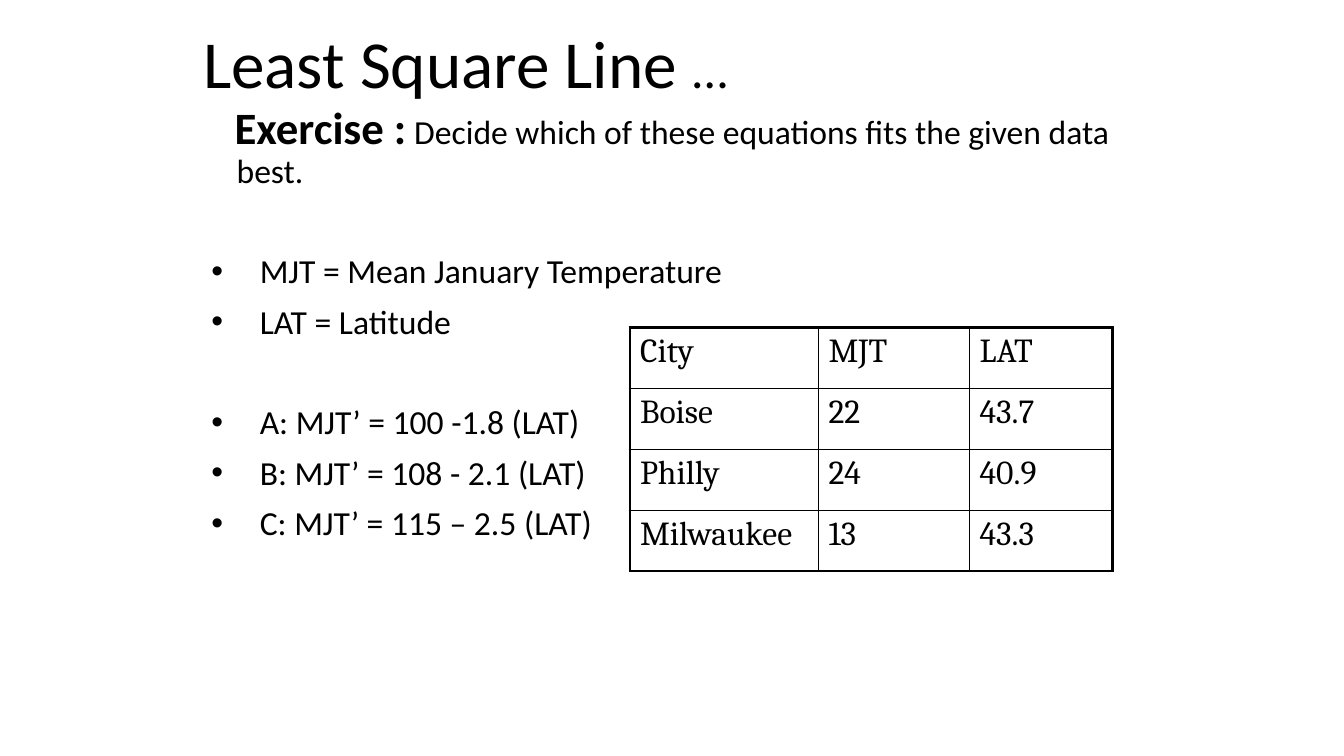
import pptx
import pptx.util
import pptx.dml.color
import pptx.enum.text
import pptx.oxml
import pptx.oxml.ns
import lxml.etree

Pt = pptx.util.Pt
BLACK = pptx.dml.color.RGBColor(0, 0, 0)
WHITE = pptx.dml.color.RGBColor(255, 255, 255)
ANCHOR = pptx.enum.text.MSO_ANCHOR
THICK, THIN = 2.25, 1

ITEMS = [
    ("MJT = Mean January Temperature", 46),
    ("LAT = Latitude", 10),
    ("A: MJT’ = 100 -1.8 (LAT)", 46),
    ("B: MJT’ = 108 - 2.1 (LAT)", 10),
    ("C: MJT’ = 115 – 2.5 (LAT)", 10),
]
DATA = [
    ("City", "MJT", "LAT"),
    ("Boise", "22", "43.7"),
    ("Philly", "24", "40.9"),
    ("Milwaukee", "13", "43.3"),
]
WIDTHS = [134.64, 108, 102.24]


def sub(node, tag, **attrs):
    return lxml.etree.SubElement(node, pptx.oxml.ns.qn(tag), attrs)


def style(para, face, size=None):
    para.font.name = face
    para.font.color.rgb = BLACK
    if size:
        para.font.size = Pt(size)


def add_box(slide, left, top, width, height, anchor):
    box = slide.shapes.add_textbox(Pt(left), Pt(top), Pt(width), Pt(height))
    frame = box.text_frame
    frame.word_wrap = True
    frame.vertical_anchor = anchor
    return frame


def add_runs(para, parts):
    for text, size, bold in parts:
        run = para.add_run()
        run.text = text
        run.font.size = Pt(size)
        run.font.bold = bold


def set_para(para, margin, indent, before):
    para.line_spacing = 0.9
    para.space_before = Pt(before)
    props = para._p.get_or_add_pPr()
    props.set("marL", str(Pt(margin)))
    props.set("indent", str(Pt(indent)))
    return props


def add_title(slide, left, top, width, height):
    para = add_box(slide, left, top, width, height, ANCHOR.MIDDLE).paragraphs[0]
    para.line_spacing = 0.9
    style(para, "Calibri")
    add_runs(para, [("Least Square Line ", 48, False), ("…", 36, False)])


def add_body(slide, left, top, width, height):
    frame = add_box(slide, left, top, width, height, ANCHOR.TOP)
    task = frame.paragraphs[0]
    set_para(task, 18, -1.5, 10)
    style(task, "Calibri")
    add_runs(task, [
        ("Exercise :", 32, True),
        (" Decide which of these equations fits the given data best.", 24, False),
    ])
    for text, before in ITEMS:
        para = frame.add_paragraph()
        para.text = text
        props = set_para(para, 34.5, -34.5, before)
        sub(props, "a:buFont", typeface="Arial")
        sub(props, "a:buChar", char="•")
        style(para, "Calibri", 24)


def set_edges(cell, row, col):
    outer = {
        "L": col == 0,
        "R": col == len(WIDTHS) - 1,
        "T": row == 0,
        "B": row == len(DATA) - 1,
    }
    props = cell._tc.get_or_add_tcPr()
    for side, edge in outer.items():
        line = sub(props, "a:ln" + side, w=str(Pt(THICK if edge else THIN)))
        fill = sub(line, "a:solidFill")
        sub(fill, "a:srgbClr", val=str(BLACK))


def add_data(slide, left, top, height):
    table = slide.shapes.add_table(
        len(DATA), len(WIDTHS), Pt(left), Pt(top), Pt(sum(WIDTHS)), Pt(height)
    ).table
    table.first_row = False
    table.horz_banding = False
    for col, width in enumerate(WIDTHS):
        table.columns[col].width = Pt(width)
    for row, words in enumerate(DATA):
        table.rows[row].height = Pt(height / len(DATA))
        for col, word in enumerate(words):
            cell = table.cell(row, col)
            cell.text = word
            style(cell.text_frame.paragraphs[0], "Cambria", 24)
            set_edges(cell, row, col)
            cell.fill.background()


def main():
    deck = pptx.Presentation()
    deck.slide_width = Pt(960)
    deck.slide_height = Pt(540)
    slide = deck.slides.add_slide(deck.slide_layouts[6])
    slide.background.fill.solid()
    slide.background.fill.fore_color.rgb = WHITE
    add_title(slide, 138, 24, 690, 48)
    add_body(slide, 144, 72, 684, 432)
    add_data(slide, 450, 234, 174)
    deck.save("out.pptx")


if __name__ == "__main__":
    main()
